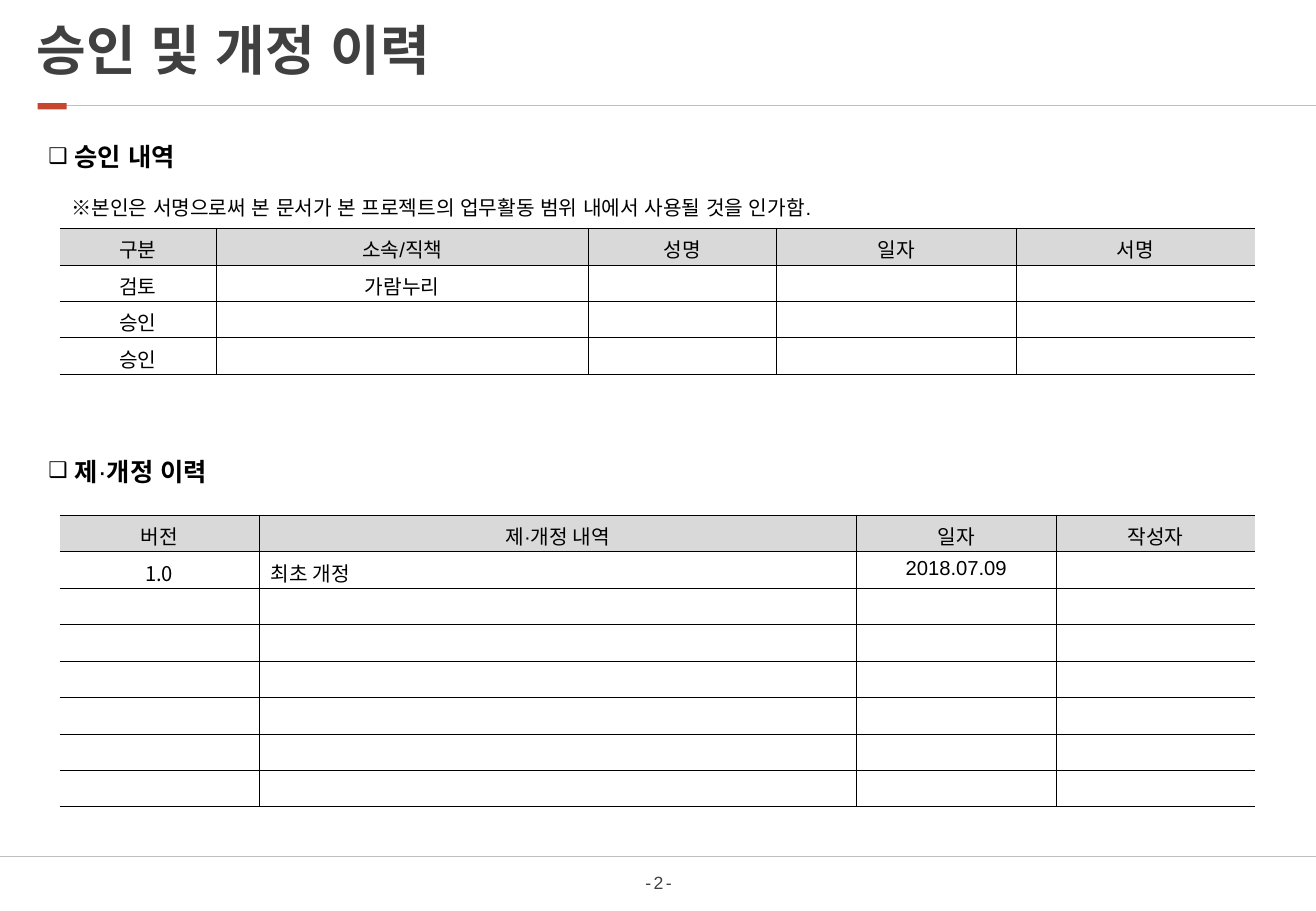
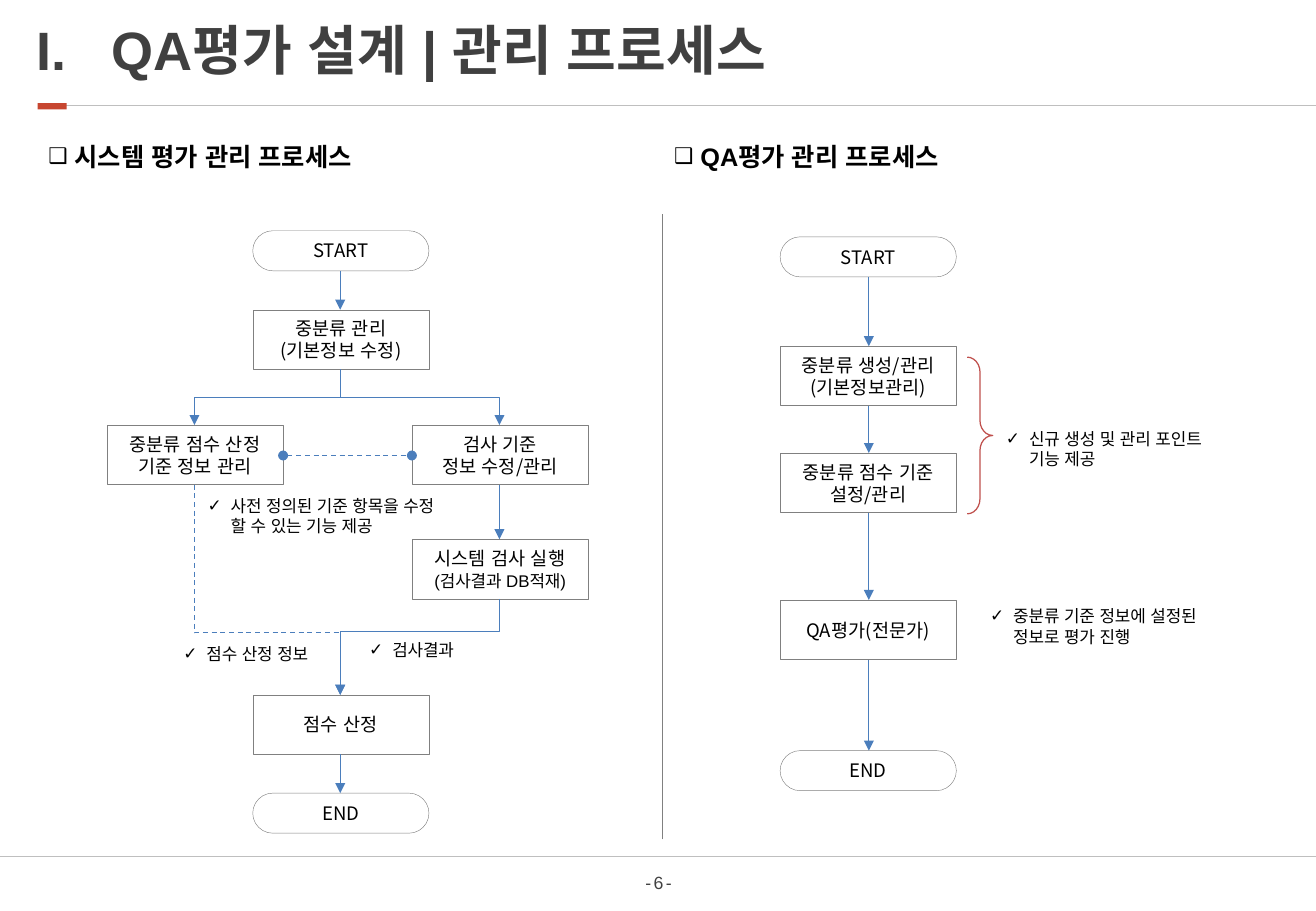
"""Build the approval history slide and the QA management process slide."""
from lxml import etree
from pptx import Presentation
from pptx.dml.color import RGBColor
from pptx.enum.dml import MSO_LINE_DASH_STYLE as DASH
from pptx.enum.shapes import MSO_CONNECTOR as CONN, MSO_SHAPE as SHAPE
from pptx.enum.text import MSO_ANCHOR as ANCHOR, MSO_AUTO_SIZE as FIT, PP_ALIGN as ALIGN
from pptx.oxml.ns import qn
from pptx.util import Emu, Pt

PX = 9144
W, H = 1083, 750
COLORS = {
    "ink": "000000", "title": "404040", "rule": "BFBFBF", "accent": "C74630",
    "header": "D9D9D9", "box": "808080", "arrow": "4B7EBC", "brace": "C0504D",
}
C = {name: RGBColor.from_string(value) for name, value in COLORS.items()}
SANS, CJK = "Arial", "Noto Sans CJK KR"
NO_STYLE = "{2D5ABB26-0587-4C30-8999-92F81FD0307C}"


def write(p, text, size, color="ink", latin=SANS, asian=SANS, bold=False):
    r = p.add_run()
    r.text = text
    fmt = {"size": Pt(size), "name": latin, "bold": bold}
    for key, value in fmt.items():
        setattr(r.font, key, value)
    r.font.color.rgb = C[color]
    etree.SubElement(r.font._element, qn("a:ea"), typeface=asian)
    return r


def connect(s, x1, y1, x2, y2, color="arrow", width=0.75, bend=None, dash=False, head=None, tail=None):
    if bend is None:
        kind, ends = CONN.STRAIGHT, (x1, y1, x2, y2)
    else:
        cx, cy, w, h = (x1 + x2) / 2, (y1 + y2) / 2, y2 - y1, abs(x2 - x1)
        kind, ends = CONN.ELBOW, (cx - w / 2, cy - h / 2, cx + w / 2, cy + h / 2)
    c = s.shapes.add_connector(kind, *(Emu(round(v * PX)) for v in ends))
    c.line.color.rgb = C[color]
    c.line.width = Pt(width)
    if dash:
        c.line.dash_style = DASH.DASH
    ln = c.line._get_or_add_ln()
    for tag, arrow in (("a:headEnd", head), ("a:tailEnd", tail)):
        if arrow:
            etree.SubElement(ln, qn(tag), type=arrow)
    sp_pr = c._element.spPr
    etree.SubElement(sp_pr, qn("a:effectLst"))
    if bend is not None:
        xfrm = sp_pr.find(qn("a:xfrm"))
        xfrm.set("rot", "16200000" if x2 > x1 else "5400000")
        if x2 > x1:
            xfrm.set("flipH", "1")
        guides = sp_pr.find(qn("a:prstGeom")).find(qn("a:avLst"))
        etree.SubElement(guides, qn("a:gd"), name="adj1", fmla=f"val {round(bend * 100000)}")


prs = Presentation()
prs.slide_width, prs.slide_height = W * PX, H * PX

slides = []
for title, number, numbered in (
    ("승인 및 개정 이력", 2, False),
    ("QA평가 설계 | 관리 프로세스", 6, True),
):
    s = prs.slides.add_slide(prs.slide_layouts[5])
    slides.append(s)
    connect(s, W, 705, 0, 705, "rule")
    connect(s, W, 87, 35, 87, "rule")
    sp = s.shapes.add_shape(SHAPE.RECTANGLE, 31 * PX, 85 * PX, 24 * PX, 5 * PX)
    sp.shadow.inherit = False
    sp.fill.solid()
    sp.fill.fore_color.rgb = C["accent"]
    sp.line.fill.background()

    sp = s.shapes.title
    box = {"left": 30, "top": 20, "width": 1000, "height": 48}
    for key, value in box.items():
        setattr(sp, key, value * PX)
    tf = sp.text_frame
    frame = {"margin_left": 0, "margin_right": 0, "margin_top": 0, "margin_bottom": 0,
             "vertical_anchor": ANCHOR.MIDDLE, "auto_size": FIT.NONE, "word_wrap": True}
    for key, value in frame.items():
        setattr(tf, key, value)
    p = tf.paragraphs[0]
    p.alignment, p.line_spacing = ALIGN.LEFT, 0.9
    write(p, title, 32, "title", bold=True)
    if numbered:
        p_pr = p._p.get_or_add_pPr()
        p_pr.set("marL", str(62 * PX))
        p_pr.set("indent", str(-62 * PX))
        etree.SubElement(p_pr, qn("a:buFont"), typeface=SANS)
        etree.SubElement(p_pr, qn("a:buAutoNum"), type="romanUcPeriod")

    tf = s.shapes.add_textbox(514 * PX, 712 * PX, 56 * PX, 29 * PX).text_frame
    tf.word_wrap, tf.vertical_anchor = False, ANCHOR.MIDDLE
    p = tf.paragraphs[0]
    p.alignment = ALIGN.CENTER
    r = write(p, f"- {number} -", 10.5, "title")
    r.font._element.set("spc", "-70")

history, process = slides

STYLES = {
    "section": {"size": 15, "bold": True, "bullet": "❑", "scale": 85, "indent": 0, "before": 3},
    "remark": {"size": 12, "bold": False, "bullet": None, "indent": 0, "before": 0},
    "check": {"size": 10, "bold": False, "bullet": "✓", "scale": 100, "indent": 19, "before": 0},
}
for s, style, x, y, w, h, text in (
    (history, "section", 30, 111, 1003, 35, " 승인 내역"),
    (history, "section", 30, 369, 1003, 37, " 제·개정 이력"),
    (history, "remark", 49, 156, 984, 30,
     "※본인은 서명으로써 본 문서가 본 프로젝트의 업무활동 범위 내에서 사용될 것을 인가함."),
    (process, "section", 30, 111, 515, 35, " 시스템 평가 관리 프로세스"),
    (process, "section", 545, 111, 515, 35, " QA평가 관리 프로세스"),
    (process, "check", 161, 403, 215, 44, "사전 정의된 기준 항목을 수정 할 수 있는 기능 제공"),
    (process, "check", 818, 348, 193, 44, "신규 생성 및 관리 포인트 기능 제공"),
    (process, "check", 141, 525, 135, 27, "점수 산정 정보"),
    (process, "check", 294, 522, 116, 27, "검사결과"),
    (process, "check", 805, 494, 193, 44, "중분류 기준 정보에 설정된 정보로 평가 진행"),
):
    look = STYLES[style]
    tf = s.shapes.add_textbox(x * PX, y * PX, w * PX, h * PX).text_frame
    tf.word_wrap, tf.auto_size = True, FIT.SHAPE_TO_FIT_TEXT
    p = tf.paragraphs[0]
    p.space_before = Pt(look["before"])
    if look["bullet"]:
        p_pr = p._p.get_or_add_pPr()
        p_pr.set("marL", str(look["indent"] * PX))
        p_pr.set("indent", str(-look["indent"] * PX))
        etree.SubElement(p_pr, qn("a:buSzPct"), val=str(look["scale"] * 1000))
        etree.SubElement(p_pr, qn("a:buFont"), typeface=SANS)
        etree.SubElement(p_pr, qn("a:buChar"), char=look["bullet"])
    for part in filter(None, text.partition("·")):
        dot = part == "·"
        write(p, part, 16 if dot else look["size"], bold=look["bold"] and not dot)

ROW = 30
for top, cols, count, filled in (
    (424, (164, 492, 164, 164), 8,
     (("버전", "제·개정 내역", "일자", "작성자"), ("1.0", "최초 개정", "2018.07.09"))),
    (188, (129, 306, 155, 197, 197), 4,
     (("구분", "소속/직책", "성명", "일자", "서명"), ("검토", "가람누리"), ("승인",), ("승인",))),
):
    frame = history.shapes.add_table(count, len(cols), 49 * PX, top * PX, sum(cols) * PX, count * ROW * PX)
    table = frame.table
    table.first_row = table.horz_banding = False
    table._tbl.tblPr.find(qn("a:tableStyleId")).text = NO_STYLE
    for column, width in zip(table.columns, cols):
        column.width = width * PX
    for i, row in enumerate(table.rows):
        row.height = ROW * PX
        texts = filled[i] if i < len(filled) else ()
        for j, cell in enumerate(row.cells):
            cell.margin_top, cell.margin_bottom = 5 * PX, 0
            tc_pr = cell._tc.get_or_add_tcPr()
            inner = {"a:lnL": j > 0, "a:lnR": j < len(cols) - 1, "a:lnT": True, "a:lnB": True}
            for tag, drawn in inner.items():
                if drawn:
                    ln = etree.SubElement(tc_pr, qn(tag), w=str(Pt(0.25)))
                    paint = etree.SubElement(ln, qn("a:solidFill"))
                    etree.SubElement(paint, qn("a:srgbClr"), val=COLORS["ink"])
            if i == 0:
                cell.fill.solid()
                cell.fill.fore_color.rgb = C["header"]
            else:
                cell.fill.background()
            p = cell.text_frame.paragraphs[0]
            if j < len(texts):
                text = texts[j]
                p.alignment = ALIGN.LEFT if text == "최초 개정" else ALIGN.CENTER
                write(p, text, 12, latin=CJK if text == "1.0" else SANS, asian=CJK)
            else:
                etree.SubElement(p._p, qn("a:endParaRPr"), sz="1200")

BOX_W, BOX_H, CAP_H = 145, 49, 33
for x, y, text in (
    (208, 190, "START"),
    (208, 255, "중분류 관리\n(기본정보 수정)"),
    (88, 350, "중분류 점수 산정 기준 정보 관리"),
    (339, 350, "검사 기준\n정보 수정/관리"),
    (339, 444, "시스템 검사 실행\n(검사결과 DB적재)"),
    (208, 572, "점수 산정"),
    (208, 653, "END"),
    (642, 195, "START"),
    (642, 285, "중분류 생성/관리\n(기본정보관리)"),
    (642, 373, "중분류 점수 기준 설정/관리"),
    (642, 494, "QA평가(전문가)"),
    (642, 618, "END"),
):
    cap = text in ("START", "END")
    kind, height = (SHAPE.ROUNDED_RECTANGLE, CAP_H) if cap else (SHAPE.RECTANGLE, BOX_H)
    sp = process.shapes.add_shape(kind, x * PX, y * PX, BOX_W * PX, height * PX)
    if cap:
        sp.adjustments[0] = 0.5
    sp.shadow.inherit = False
    sp.fill.background()
    sp.line.color.rgb = C["box"]
    sp.line.width = Pt(0.25)
    tf = sp.text_frame
    tf.word_wrap, tf.vertical_anchor = True, ANCHOR.MIDDLE
    for i, line in enumerate(text.split("\n")):
        p = tf.add_paragraph() if i else tf.paragraphs[0]
        p.alignment, p.line_spacing = ALIGN.CENTER, Pt(13)
        small = "DB" in line
        write(p, line, 10 if small else 11, latin=SANS if small else CJK)

sp = process.shapes.add_shape(SHAPE.RIGHT_BRACE, 796 * PX, 294 * PX, 21 * PX, 129 * PX)
sp.adjustments[0], sp.adjustments[1] = 0.587, 0.5
sp.shadow.inherit = False
sp.fill.background()
sp.line.color.rgb = C["brace"]
sp.line.width = Pt(0.75)

connect(process, 545, 691, 545, 176, "box")
connect(process, 233, 375, 339, 375, dash=True, head="oval", tail="oval")
for x, y1, y2 in (
    (280, 223, 255), (280, 621, 653), (411, 399, 444),
    (715, 228, 285), (715, 334, 373), (715, 422, 494), (715, 543, 618),
):
    connect(process, x, y1, x, y2, tail="triangle")
for x1, y1, x2, y2, bend, dash in (
    (280, 304, 411, 350, 0.5, False),
    (280, 304, 160, 350, 0.5, False),
    (160, 399, 280, 572, 0.705, True),
    (411, 493, 280, 572, 0.341, False),
):
    connect(process, x1, y1, x2, y2, bend=bend, dash=dash, tail="triangle")

prs.save("out.pptx")
